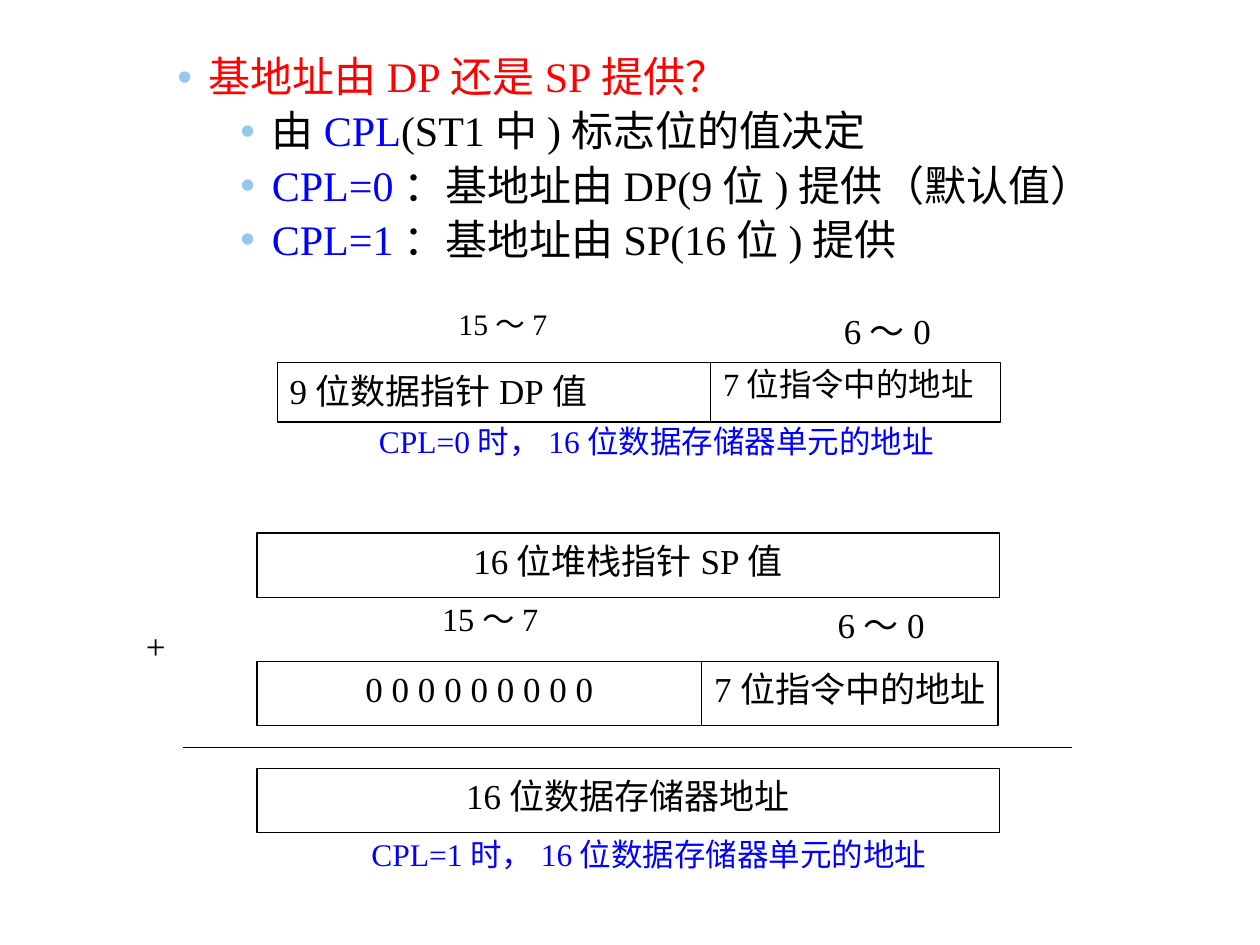
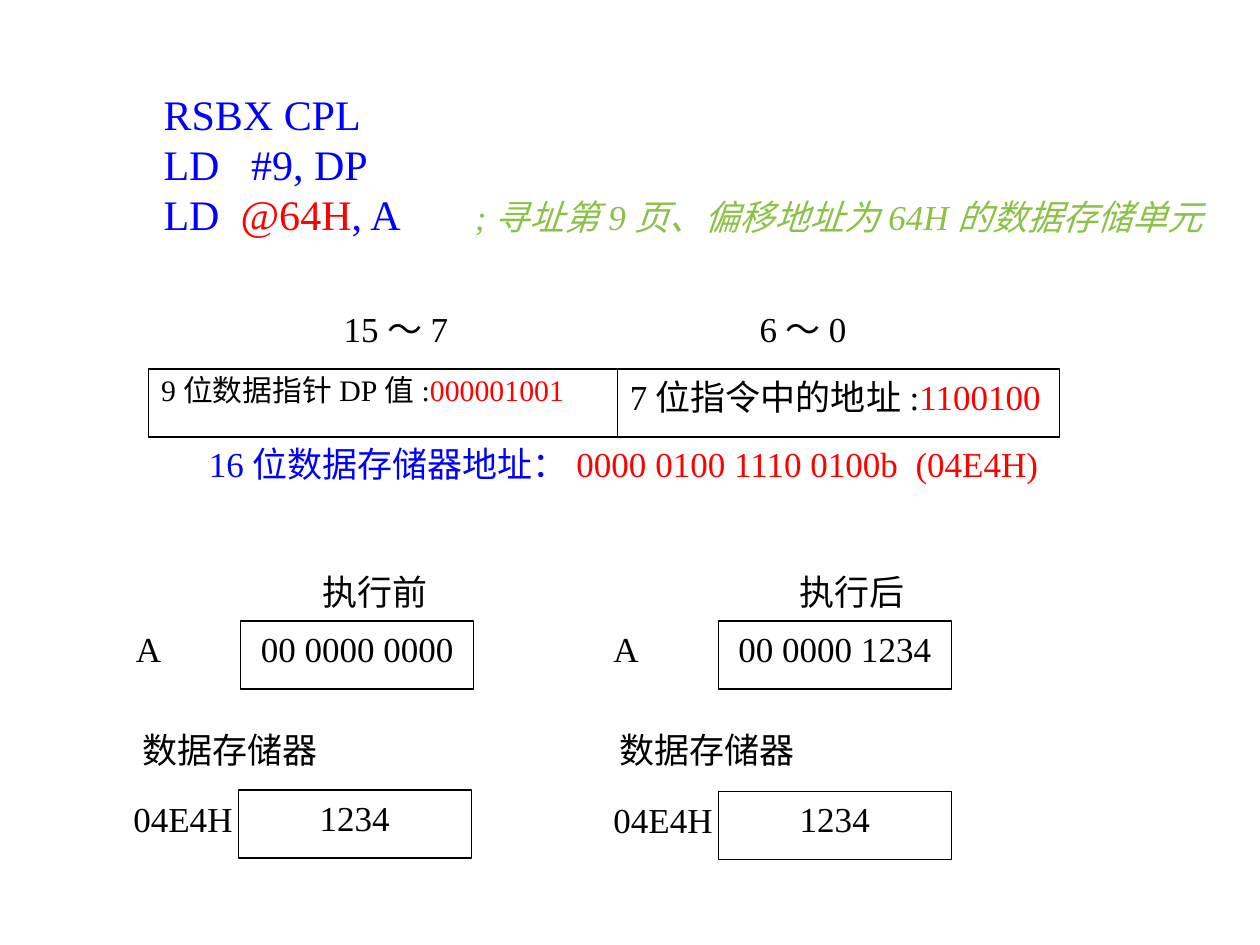
"""Build two slides on direct addressing with the DP and SP base registers."""
import pptx
import pptx.dml.color
import pptx.enum.shapes
import pptx.enum.text
import pptx.oxml
import pptx.oxml.ns
import pptx.util
from pptx.util import Inches

FONT = "Times New Roman"
BLACK, BLUE, RED, GREEN = "000000", "0000FF", "FF0000", "8BC145"
WHITE, BULLET = "FFFFFF", "94C8ED"
LEFT = pptx.enum.text.PP_ALIGN.LEFT
CENTER = pptx.enum.text.PP_ALIGN.CENTER


def colour(hex_value):
    """Turn a hex string into a colour."""
    return pptx.dml.color.RGBColor.from_string(hex_value)


def apply(target, values):
    """Set each attribute named in a dict on the target."""
    for name, value in values.items():
        setattr(target, name, value)


def append_xml(parent, markup):
    """Append a drawing element written as markup to a parent element."""
    namespace = pptx.oxml.ns.nsdecls("a")
    for element in pptx.oxml.parse_xml(f"<a:list {namespace}>{markup}</a:list>"):
        parent.append(element)


def write_runs(paragraph, runs, size):
    """Fill a paragraph with (text, colour, optional font values) runs."""
    for text, hex_value, *extra in runs:
        run = paragraph.add_run()
        run.text = text
        apply(run.font, {"name": FONT, "size": pptx.util.Pt(size)})
        run.font.color.rgb = colour(hex_value)
        for values in extra:
            apply(run.font, values)


def write(shape, paragraphs, size=20, align=LEFT, spacing=1.0):
    """Write paragraphs of runs into a shape from its top edge."""
    frame = shape.text_frame
    apply(frame, {
        "word_wrap": True,
        "vertical_anchor": pptx.enum.text.MSO_ANCHOR.TOP,
        "margin_right": Inches(0.1 if align == CENTER else 0),
    })
    for index, runs in enumerate(paragraphs):
        paragraph = frame.add_paragraph() if index else frame.paragraphs[0]
        apply(paragraph, {"alignment": align, "line_spacing": spacing})
        write_runs(paragraph, runs, size)
    return frame


def add_label(slide, place, *runs, **text_format):
    """Add a borderless one-line text."""
    label = slide.shapes.add_textbox(*map(Inches, place))
    write(label, [runs], **text_format)


def add_register(slide, place, *runs, fill=None, **text_format):
    """Add an outlined register or memory field."""
    field = slide.shapes.add_shape(
        pptx.enum.shapes.MSO_SHAPE.RECTANGLE, *map(Inches, place))
    field.shadow.inherit = False
    if fill:
        field.fill.solid()
        field.fill.fore_color.rgb = colour(fill)
    else:
        field.fill.background()
    field.line.color.rgb = colour(BLACK)
    field.line.width = pptx.util.Pt(0.75)
    write(field, [runs], **text_format)


def add_rule(slide, left, right, top):
    """Add the horizontal line above a sum."""
    rule = slide.shapes.add_connector(
        pptx.enum.shapes.MSO_CONNECTOR.STRAIGHT,
        Inches(left), Inches(top), Inches(right), Inches(top))
    rule.line.color.rgb = colour(BLACK)
    rule.line.width = pptx.util.Pt(0.75)
    append_xml(rule._element.spPr, "<a:effectLst/>")


def add_bullets(slide, place, paragraphs):
    """Add a heading bullet followed by indented bullets."""
    box = slide.shapes.add_textbox(*map(Inches, place))
    frame = write(box, paragraphs, size=24, spacing=0.9)
    for index, paragraph in enumerate(frame.paragraphs):
        paragraph.level = min(index, 1)
        paragraph.space_before = pptx.util.Pt(5 if index else 0)
        properties = paragraph._p.get_or_add_pPr()
        properties.set("marL", str(Inches(0.75 if index else 0.25)))
        properties.set("indent", str(Inches(-0.25)))
        append_xml(properties, f'<a:buClr><a:srgbClr val="{BULLET}"/></a:buClr>'
                               '<a:buFont typeface="Arial"/><a:buChar char="•"/>')


def add_code(slide, place, lines, comment_tab):
    """Add code lines with a tab stop for the comment."""
    box = slide.shapes.add_textbox(*map(Inches, place))
    frame = write(box, lines, size=24)
    for paragraph in frame.paragraphs:
        append_xml(paragraph._p.get_or_add_pPr(),
                   f'<a:tabLst><a:tab pos="{Inches(comment_tab)}" algn="l"/></a:tabLst>')


def add_state(slide, left, title, accumulator, memory, memory_left, memory_top):
    """Add the accumulator and data memory at one moment."""
    add_label(slide, (left + 1.48, 4.48, 1.65, 0.54), (title, BLACK))
    add_label(slide, (left, 4.93, 1.24, 0.54), ("A", BLACK))
    add_register(slide, (left + 0.93, 4.93, 1.85, 0.54), (accumulator, BLACK),
                 fill=WHITE, align=CENTER)
    add_label(slide, (left + 0.05, 5.73, 1.65, 0.54), ("数据存储器", BLACK))
    add_label(slide, (memory_left - 0.93, memory_top + 0.01, 1.24, 0.54),
              ("04E4H", BLACK))
    add_register(slide, (memory_left, memory_top, 1.85, 0.54), (memory, BLACK),
                 fill=WHITE, align=CENTER)


def build_base_address(slide):
    """Show how CPL selects DP or SP as the base address."""
    add_bullets(slide, (1.31, 0.4, 7.66, 1.84), [
        [("基地址由DP还是SP提供？", RED)],
        [("由", BLACK), ("CPL", BLUE), ("(ST1中)标志位的值决定", BLACK)],
        [("CPL=0", BLUE), ("：基地址由DP(9位)提供（默认值）", BLACK)],
        [("CPL=1", BLUE), ("：基地址由SP(16位)提供", BLACK)],
    ])
    offset = ("7位指令中的地址", BLACK)
    high_bits, low_bits = ("15～7", BLACK), ("6～0", BLACK)

    add_label(slide, (3.54, 2.41, 0.96, 0.47), high_bits, size=17, spacing=0.9)
    add_label(slide, (6.6, 2.41, 0.96, 0.47), low_bits)
    add_register(slide, (2.2, 2.88, 3.44, 0.47), ("9位数据指针DP值", BLACK))
    add_register(slide, (5.64, 2.88, 2.3, 0.47), offset, size=18.5, spacing=0.9)

    add_label(slide, (1.06, 4.91, 0.98, 0.51), ("+", BLACK))
    add_label(slide, (3.41, 4.74, 0.98, 0.51), high_bits, size=18.5, spacing=0.9)
    add_label(slide, (6.55, 4.74, 0.98, 0.51), low_bits)
    add_register(slide, (2.04, 5.25, 3.53, 0.51), ("0 0 0 0 0 0 0 0 0", BLACK),
                 align=CENTER)
    add_register(slide, (5.57, 5.25, 2.35, 0.51), offset)
    for top, text in ((4.23, "16位堆栈指针SP值"), (6.1, "16位数据存储器地址")):
        add_register(slide, (2.04, top, 5.89, 0.51), (text, BLACK), align=CENTER)
    add_rule(slide, 1.45, 8.51, 5.93)

    for cpl, place in enumerate(((2.71, 3.3, 5, 0.4), (2.36, 6.58, 5.58, 0.4))):
        add_label(slide, place, (f"CPL={cpl}时，16位数据存储器单元的地址", BLUE),
                  size=18, align=CENTER)


def build_dp_example(slide):
    """Show a load through DP with the state before and after."""
    comment = {"size": pptx.util.Pt(20), "italic": True}
    add_code(slide, (1.2, 0.65, 8.48, 1.3), [
        [("RSBX CPL", BLUE)],
        [("LD   #9, DP", BLUE)],
        [("LD  ", BLUE), ("@64H", RED), (", A\t", BLUE),
         (";寻址第9页、偏移地址为64H的数据存储单元", GREEN, comment)],
    ], comment_tab=2.47)

    add_label(slide, (2.63, 2.39, 1.03, 0.54), ("15～7", BLACK))
    add_label(slide, (5.93, 2.39, 1.03, 0.54), ("6～0", BLACK))
    add_register(slide, (1.18, 2.93, 3.72, 0.54), ("9位数据指针DP值:", BLACK),
                 ("000001001", RED), size=17, spacing=0.9)
    add_register(slide, (4.9, 2.93, 3.51, 0.54), ("7位指令中的地址:", BLACK),
                 ("1100100", RED))
    add_label(slide, (1.56, 3.46, 7.09, 0.54), ("16位数据存储器地址：", BLUE),
              ("0000 0100 1110 0100b  (04E4H)", RED))

    add_state(slide, 0.98, "执行前", "00 0000 0000", "1234", 1.89, 6.27)
    add_state(slide, 4.77, "执行后", "00 0000 1234", "1234", 5.7, 6.28)


def main():
    """Build and save the presentation."""
    presentation = pptx.Presentation()
    apply(presentation, {"slide_width": Inches(10), "slide_height": Inches(7.5)})
    for build in (build_base_address, build_dp_example):
        build(presentation.slides.add_slide(presentation.slide_layouts[6]))
    presentation.save("out.pptx")


if __name__ == "__main__":
    main()
